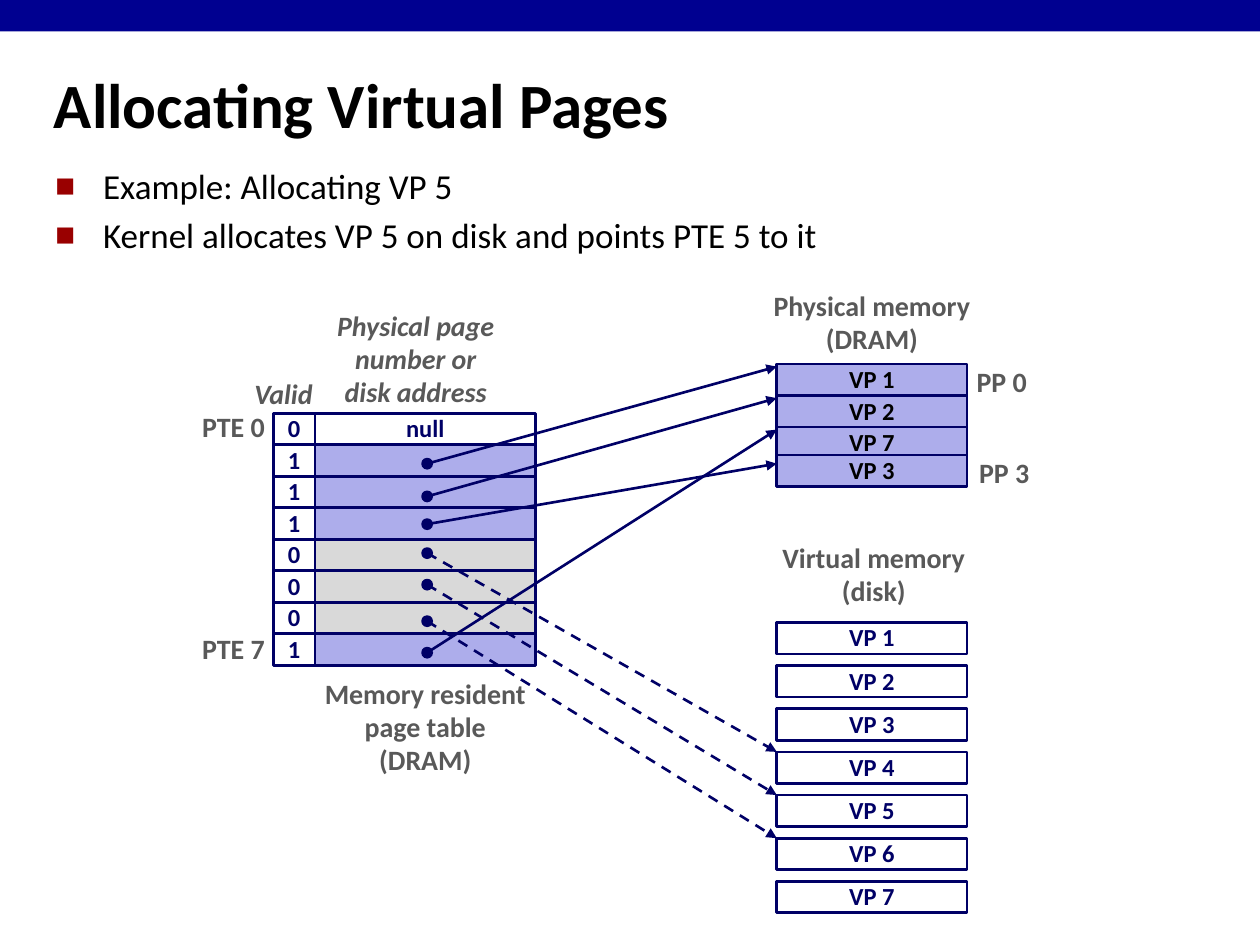
from lxml.etree import SubElement
from pptx import Presentation
from pptx.dml.color import RGBColor
from pptx.enum.dml import MSO_LINE
from pptx.enum.shapes import MSO_CONNECTOR, MSO_SHAPE
from pptx.enum.text import MSO_ANCHOR, PP_ALIGN
from pptx.oxml.ns import qn
from pptx.util import Inches, Pt

COLUMNS, ROWS = 40, 30
NAVY, BLACK, GREY, WHITE = "000066", "000000", "595959", "FFFFFF"
CACHED, ON_DISK = "ADADEB", "D9D9D9"

presentation = Presentation()
presentation.slide_width, presentation.slide_height = Inches(10), Inches(7.5)
slide = presentation.slides.add_slide(presentation.slide_layouts[6])
unit = presentation.slide_width // COLUMNS  # grid squares, ROWS of them fill the height


def write(holder, text, size, colour, align=PP_ALIGN.CENTER, bold=True, italic=False,
          spacing=0.98, wrap=False, anchor=MSO_ANCHOR.MIDDLE):
    frame = holder.text_frame
    frame.word_wrap = wrap
    frame.vertical_anchor = anchor
    frame.text = text
    for paragraph in frame.paragraphs:
        paragraph.alignment = align
        paragraph.line_spacing = spacing
        font = paragraph.font
        font.name, font.size, font.bold, font.italic = "Calibri", Pt(size), bold, italic
        font.color.rgb = RGBColor.from_string(colour)
    return frame.paragraphs


def block(column, row, width, height, fill, line=NAVY, kind=MSO_SHAPE.RECTANGLE, weight=1.5):
    """Add a filled shape, placed in grid squares; line=None leaves the outline off."""
    shape = slide.shapes.add_shape(
        kind, *(int(length * unit) for length in (column, row, width, height)))
    shape.shadow.inherit = False
    shape.fill.solid()
    shape.fill.fore_color.rgb = RGBColor.from_string(fill)
    if line:
        shape.line.color.rgb = RGBColor.from_string(line)
        shape.line.width = Pt(weight)
    else:
        shape.line.fill.background()
    return shape


# Heading band, title and bullets
block(0, 0, COLUMNS, 1, "000090", line=None)
title = slide.shapes.add_textbox(
    *(int(length * unit) for length in (1.32, 1.56, 36.24, 3.44)))
write(title, "Allocating Virtual Pages", 36, BLACK, PP_ALIGN.LEFT, spacing=1, wrap=True)

points = slide.shapes.add_textbox(
    *(int(length * unit) for length in (1.36, 5.04, 36.36, 3.32)))
bullets = write(
    points,
    "Example: Allocating VP 5\nKernel allocates VP 5 on disk and points PTE 5 to it",
    20, BLACK, PP_ALIGN.LEFT, bold=False, spacing=1, wrap=True, anchor=MSO_ANCHOR.TOP)
for bullet in bullets:
    bullet.space_before = Pt(4)
    properties = bullet._p.get_or_add_pPr()
    properties.set("marL", str(Inches(0.38)))
    properties.set("indent", str(-Inches(0.38)))
    SubElement(SubElement(properties, qn("a:buClr")), qn("a:srgbClr")).set("val", "990000")
    SubElement(properties, qn("a:buSzPct")).set("val", "60000")
    SubElement(properties, qn("a:buFont")).set("typeface", "Calibri")
    SubElement(properties, qn("a:buChar")).set("char", "■")

# Labels: text, column, row, width, height, alignment, italic
labels = [
    ("Valid", 7.68, 11.8, 2.64, 1.48, PP_ALIGN.LEFT, True),
    ("Physical page\nnumber or\ndisk address", 10.28, 9.64, 5.84, 3.56, PP_ALIGN.CENTER, True),
    ("PTE 0", 6, 12.84, 2.8, 1.48, PP_ALIGN.RIGHT, False),
    ("PTE 7", 6, 19.88, 2.8, 1.48, PP_ALIGN.RIGHT, False),
    ("Memory resident\npage table\n(DRAM)", 9.8, 21.32, 7.4, 3.56, PP_ALIGN.CENTER, False),
    ("Physical memory\n(DRAM)", 24.12, 9, 7.12, 2.52, PP_ALIGN.CENTER, False),
    ("PP 0", 30.6, 11.4, 2.4, 1.48, PP_ALIGN.CENTER, False),
    ("PP 3", 30.68, 14.28, 2.4, 1.48, PP_ALIGN.CENTER, False),
    ("Virtual memory\n(disk)", 24.36, 17, 6.76, 2.52, PP_ALIGN.CENTER, False),
]
for text, column, row, width, height, align, italic in labels:
    label = slide.shapes.add_textbox(
        *(int(length * unit) for length in (column, row, width, height)))
    write(label, text, 16, GREY, align, italic=italic)

# Physical memory and disk
memory_left, memory_width = 24.66, 6.04
for page, top in ((1, 11.56), (2, 12.56), (7, 13.56), (3, 14.44)):
    write(block(memory_left, top, memory_width, 1, CACHED), f"VP {page}", 14, BLACK)

disk_tops = {page: 19.76 + 1.37 * (page - 1) for page in range(1, 8)}
for page, top in disk_tops.items():
    write(block(memory_left, top, memory_width, 1, WHITE), f"VP {page}", 14, NAVY)

# Page table entries: valid bit, fill, dot height within the row, arrow target
entries = [
    (0, WHITE, None, None),
    (1, CACHED, 0.6, 11.64),
    (1, CACHED, 0.64, 12.64),
    (1, CACHED, 0.52, 14.72),
    (0, ON_DISK, 0.44, disk_tops[4]),
    (0, ON_DISK, 0.44, disk_tops[5]),
    (0, ON_DISK, 0.6, disk_tops[6]),
    (1, CACHED, 0.6, 13.64),
]
table_top, valid_left, address_left, address_width = 13.12, 8.68, 10, 7
dot_centre, dot_size = 13.56, 0.32

for index, (valid, fill, _, target) in enumerate(entries):
    row = table_top + index
    address = block(address_left, row, address_width, 1, fill)
    if target is None:
        write(address, "null", 14, NAVY)
    write(block(valid_left, row, address_left - valid_left, 1, WHITE), str(valid), 14, NAVY)

for index, (valid, _, dot_offset, target) in enumerate(entries):
    if target is None:
        continue
    start = table_top + index + dot_offset
    block(dot_centre - dot_size / 2, start - dot_size / 2, dot_size, dot_size, NAVY,
          kind=MSO_SHAPE.OVAL, weight=1)
    arrow = slide.shapes.add_connector(
        MSO_CONNECTOR.STRAIGHT,
        *(int(length * unit) for length in (dot_centre, start, memory_left, target)))
    arrow.line.color.rgb = RGBColor.from_string(NAVY)
    arrow.line.width = Pt(1.5)
    if not valid:
        arrow.line.dash_style = MSO_LINE.DASH
    SubElement(arrow.line._get_or_add_ln(), qn("a:tailEnd")).set("type", "triangle")
    SubElement(arrow._element.spPr, qn("a:effectLst"))

presentation.save("out.pptx")
